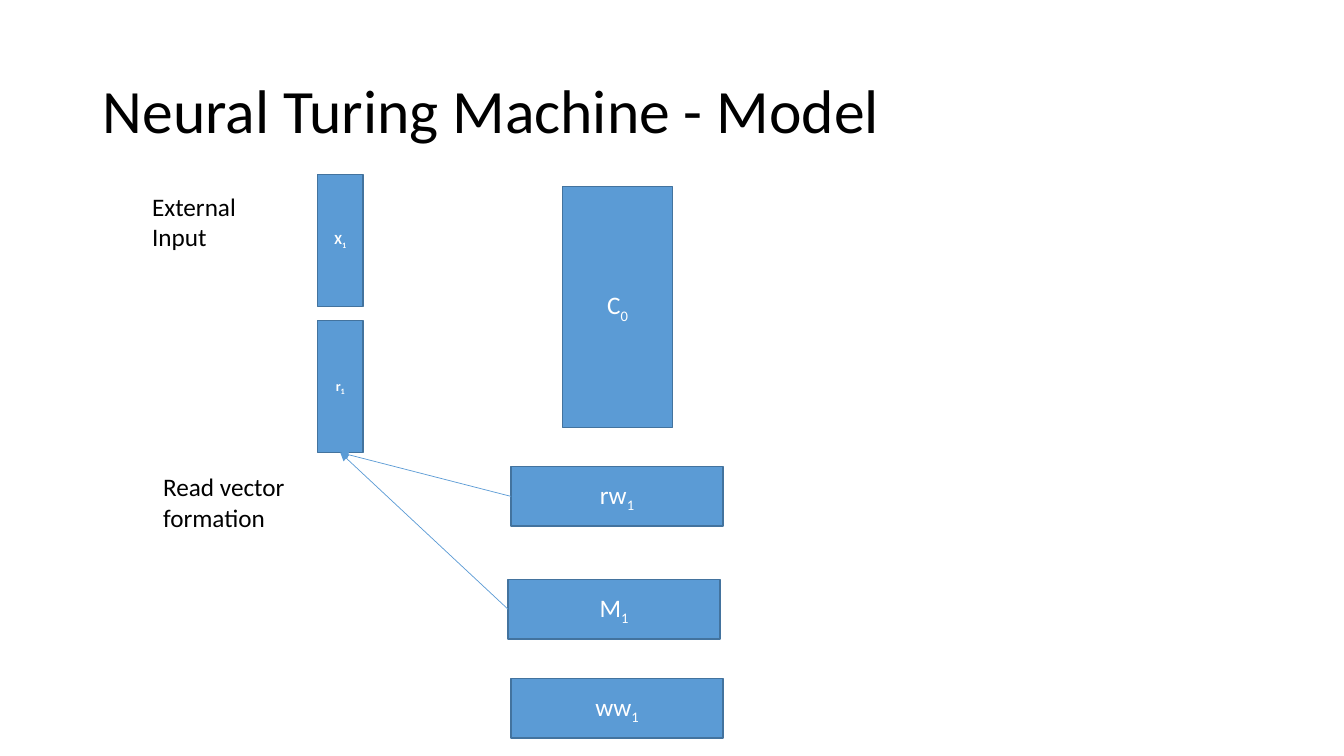
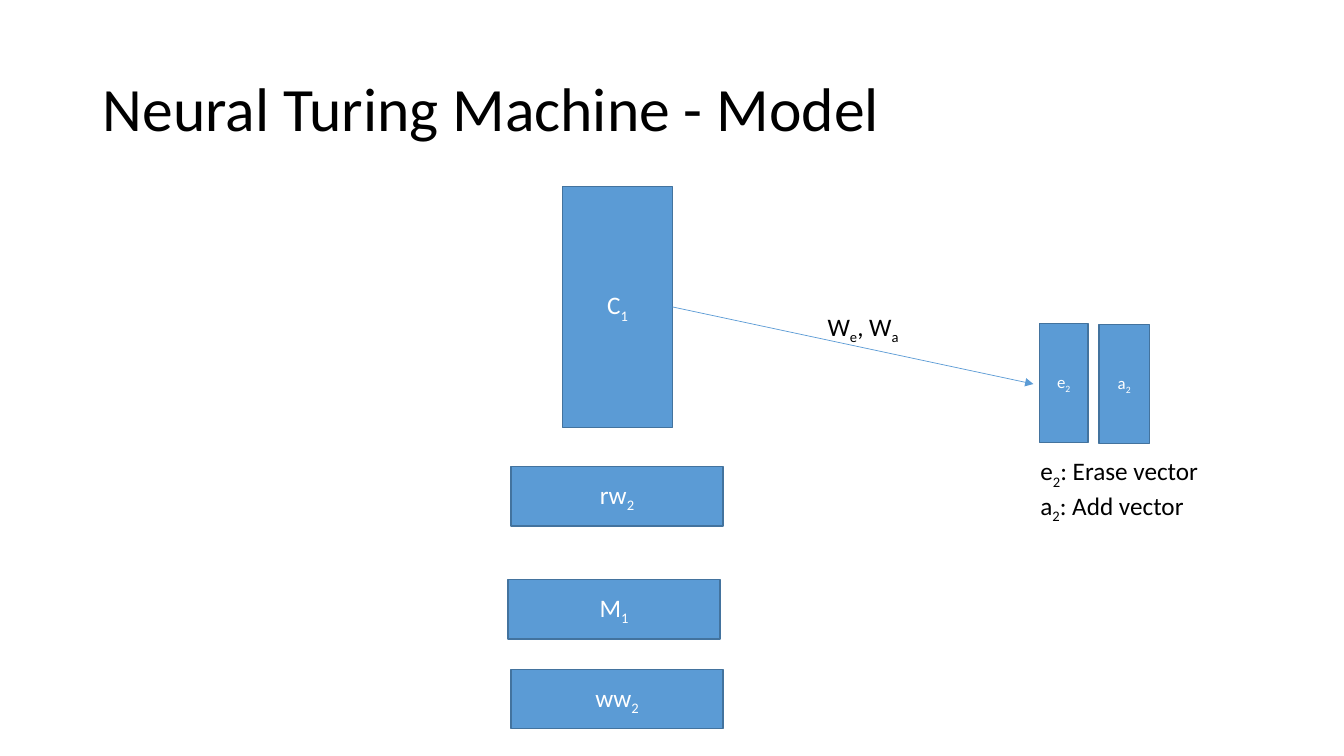
"""Build two slides on the Neural Turing Machine model."""
from lxml import etree
from pptx import Presentation
from pptx import util as u
from pptx.dml import color
from pptx.enum import shapes, text
from pptx.oxml import ns

TOP, LEFT, BOTTOM, RIGHT = range(4)


def rgb(value):
    """Turn a hex string into a colour."""
    return color.RGBColor.from_string(value)


def write(frame, content, size=18, ink="000000", bold=False, spacing=None,
          align=text.PP_ALIGN.LEFT, anchor=text.MSO_ANCHOR.TOP):
    """Fill a frame line by line; an underscore lowers the next character."""
    frame.word_wrap = True
    frame.vertical_anchor = anchor
    for number, line in enumerate(content.split("\n")):
        paragraph = frame.add_paragraph() if number else frame.paragraphs[0]
        paragraph.alignment = align
        if spacing:
            paragraph.line_spacing = spacing
        first, *rest = line.split("_")
        pieces = [(first, False)]
        for part in rest:
            pieces += [(part[0], True), (part[1:], False)]
        for piece, lowered in pieces:
            if not piece:
                continue
            run = paragraph.add_run()
            run.text = piece
            run.font.name = Deck.FONT
            run.font.size = u.Pt(size)
            run.font.bold = bold
            run.font.color.rgb = rgb(ink)
            if lowered:
                run.font._rPr.set("baseline", "-25000")


class Deck:
    """Hold the shared style and the current slide."""

    FONT = "Calibri"
    FILL = "5B9BD5"
    EDGE = "43739E"
    TITLE = "Neural Turing Machine - Model"

    def __init__(self):
        """Start an empty widescreen presentation."""
        self.show = Presentation()
        self.show.slide_width = u.Inches(13.33)
        self.show.slide_height = u.Inches(7.5)
        self.slide = None

    def new_slide(self, title_top):
        """Add a slide with the shared title."""
        self.slide = self.show.slides.add_slide(self.show.slide_layouts[6])
        self.label(self.TITLE, 0.92, title_top, 11.5, 1.45, size=44,
                   spacing=0.9, anchor=text.MSO_ANCHOR.MIDDLE)

    def label(self, content, left, top, width, height, **style):
        """Add plain text."""
        area = map(u.Inches, (left, top, width, height))
        write(self.slide.shapes.add_textbox(*area).text_frame, content, **style)

    def block(self, content, left, top, width, height, **style):
        """Add a filled box with centred text."""
        area = map(u.Inches, (left, top, width, height))
        box = self.slide.shapes.add_shape(shapes.MSO_SHAPE.RECTANGLE, *area)
        box.shadow.inherit = False
        box.fill.solid()
        box.fill.fore_color.rgb = rgb(self.FILL)
        box.line.color.rgb = rgb(self.EDGE)
        box.line.width = u.Pt(1)
        write(box.text_frame, content, ink="FFFFFF", align=text.PP_ALIGN.CENTER,
              anchor=text.MSO_ANCHOR.MIDDLE, **style)
        return box

    def arrow(self, source, site, x, y):
        """Draw an arrow from a side of a box to a point."""
        end = u.Inches(x), u.Inches(y)
        link = self.slide.shapes.add_connector(
            shapes.MSO_CONNECTOR.STRAIGHT, *end, *end)
        link.begin_connect(source, site)
        link.line.color.rgb = rgb(self.FILL)
        link.line.width = u.Pt(0.5)
        etree.SubElement(link.line._get_or_add_ln(), ns.qn("a:tailEnd"),
                         type="triangle")
        etree.SubElement(link._element.spPr, ns.qn("a:effectLst"))
        return link

    def machine(self, controller, read, write_weights, memory, write_top):
        """Stack the controller, weightings and memory."""
        state = self.block(controller, 5.58, 1.85, 1.09, 2.39)
        read_weights = self.block(read, 5.07, 4.63, 2.1, 0.59)
        self.block(write_weights, 5.07, write_top, 2.1, 0.59)
        store = self.block(memory, 5.04, 5.75, 2.1, 0.59)
        return state, read_weights, store


def read_slide(deck):
    """Show how the read vector is formed."""
    deck.new_slide(0.4)
    _, read_weights, memory = deck.machine("C_0", "rw_1", "ww_1", "M_1", 6.73)
    deck.block("X_1", 3.15, 1.73, 0.45, 1.31, size=10, bold=True)
    read_vector = deck.block("r_1", 3.15, 3.18, 0.45, 1.31, size=10, bold=True)
    for source in (read_weights, memory):
        deck.arrow(source, LEFT, 3.38, 4.49).end_connect(read_vector, BOTTOM)
    deck.label("Read vector formation", 1.52, 4.63, 1.5, 0.71)
    deck.label("External Input", 1.41, 1.85, 1.5, 0.71)


def write_slide(deck):
    """Show how the erase and add vectors are formed."""
    deck.new_slide(0.38)
    controller, _, _ = deck.machine("C_1", "rw_2", "ww_2", "M_1", 6.64)
    deck.arrow(controller, RIGHT, 10.25, 3.81)
    deck.block("e_2", 10.31, 3.21, 0.48, 1.18, size=12)
    deck.block("a_2", 10.9, 3.22, 0.5, 1.18, size=12)
    deck.label("W_e, W_a", 8.11, 3.04, 1.14, 0.4)
    deck.label("e_2: Erase vector\na_2: Add vector", 10.22, 4.47, 2.2, 0.71)


def main():
    """Build and save the presentation."""
    deck = Deck()
    read_slide(deck)
    write_slide(deck)
    deck.show.save("out.pptx")


if __name__ == "__main__":
    main()
